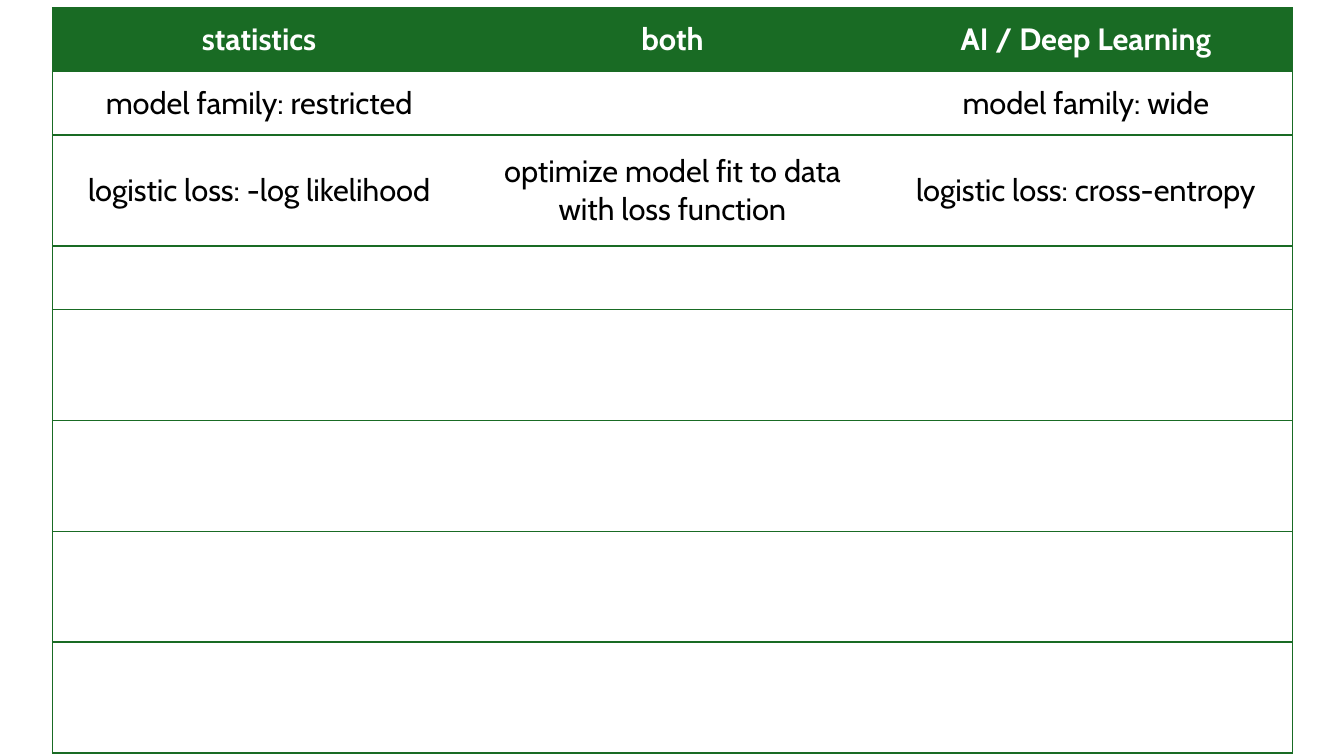
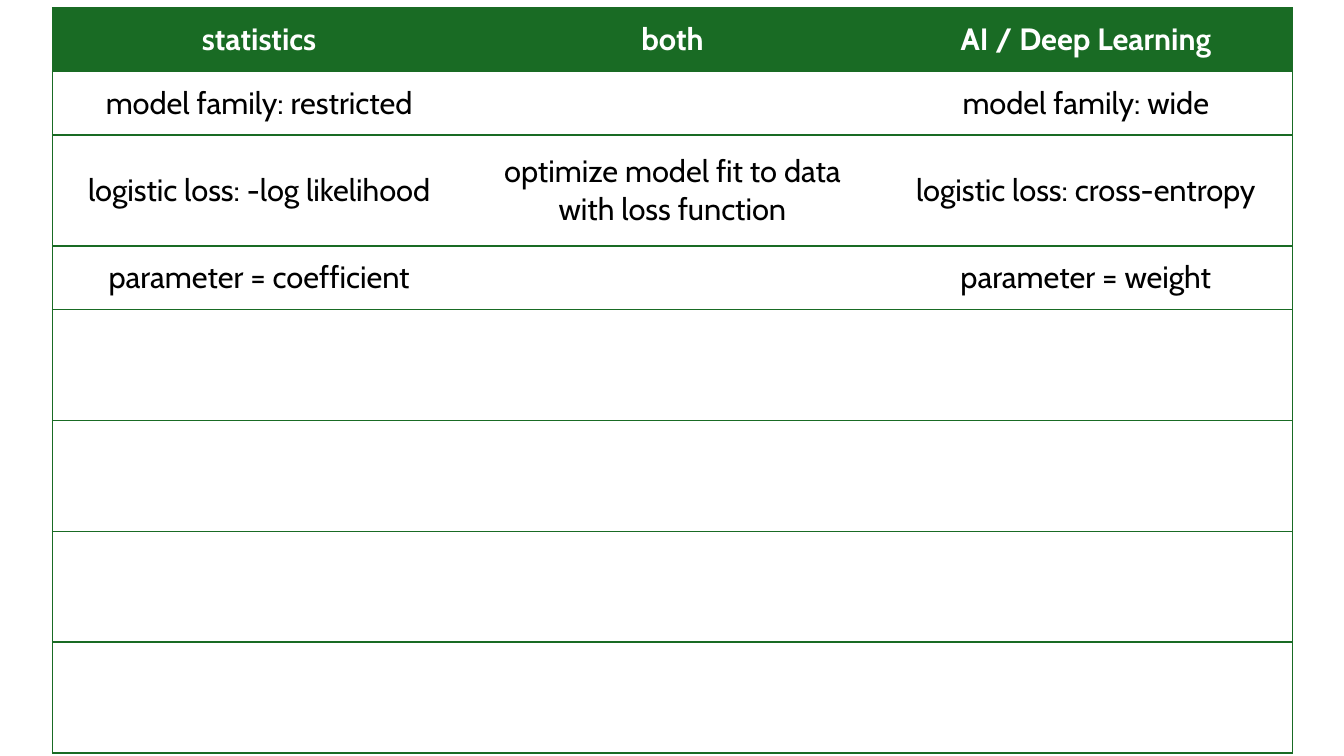
"""Build two table slides comparing statistics with deep learning."""
from lxml import etree
from pptx import Presentation
from pptx import util as u
from pptx.dml.color import RGBColor
from pptx.enum import text
from pptx.oxml import ns

GREEN, WHITE, BLACK = "196B24", "FFFFFF", "000000"
FONT, SIZE = "Cabin", 22
LEFT, TOP, WIDE = 0.52, 0.08, 4.1
LOW, TALL = 0.63, 1.1
PLAIN = "{2D5ABB26-0587-4C30-8999-92F81FD0307C}"
ROWS = (LOW, LOW, TALL, LOW, TALL, TALL, TALL, TALL)
BASE = [
    ("statistics", "both", "AI / Deep Learning"),
    ("model family: restricted", "", "model family: wide"),
    ("logistic loss: -log likelihood",
     "optimize model fit to data with loss function",
     "logistic loss: cross-entropy"),
]
MORE = [("parameter = coefficient", "", "parameter = weight")]


def color(code):
    """Turn a hex string into a colour."""
    return RGBColor.from_string(code)


def edge(cell, side):
    """Draw a thin green border on one side of a cell."""
    props = cell._tc.get_or_add_tcPr()
    line = etree.SubElement(props, ns.qn(f"a:ln{side}"), w=str(u.Pt(1)))
    fill = etree.SubElement(line, ns.qn("a:solidFill"))
    etree.SubElement(fill, ns.qn("a:srgbClr"), val=GREEN)


def write(cell, words, head):
    """Put centred words into a cell."""
    cell.vertical_anchor = text.MSO_ANCHOR.MIDDLE
    cell.margin_left = cell.margin_right = u.Inches(0.09)
    cell.margin_top = cell.margin_bottom = 0
    para = cell.text_frame.paragraphs[0]
    para.text = words
    para.alignment = text.PP_ALIGN.CENTER
    font = para.font
    for run in para.runs:
        font = run.font
    font.name, font.size, font.bold = FONT, u.Pt(SIZE), head
    font.color.rgb = color(WHITE if head else BLACK)


def paint(cell, head):
    """Fill header cells and leave the others clear."""
    if head:
        cell.fill.solid()
        cell.fill.fore_color.rgb = color(GREEN)
    else:
        cell.fill.background()


def grid(slide, lines):
    """Add the comparison table, with empty rows below the lines."""
    cols = len(lines[0])
    frame = slide.shapes.add_table(
        len(ROWS), cols, u.Inches(LEFT), u.Inches(TOP),
        u.Inches(WIDE * cols), u.Inches(sum(ROWS)))
    table = frame.table
    table.horz_banding = False
    table._tbl.tblPr.find(ns.qn("a:tableStyleId")).text = PLAIN
    for col in table.columns:
        col.width = u.Inches(WIDE)
    for r, high in enumerate(ROWS):
        table.rows[r].height = u.Inches(high)
        for c in range(cols):
            cell, head = table.cell(r, c), r == 0
            sides = "L" * (c == 0) + "R" * (c == cols - 1) + "TB"
            for side in sides:
                edge(cell, side)
            paint(cell, head)
            write(cell, lines[r][c] if r < len(lines) else "", head)


def main():
    """Build and save the deck."""
    deck = Presentation()
    deck.slide_width, deck.slide_height = u.Inches(13.33), u.Inches(7.5)
    for lines in (BASE, BASE + MORE):
        grid(deck.slides.add_slide(deck.slide_layouts[6]), lines)
    deck.save("out.pptx")


if __name__ == "__main__":
    main()
